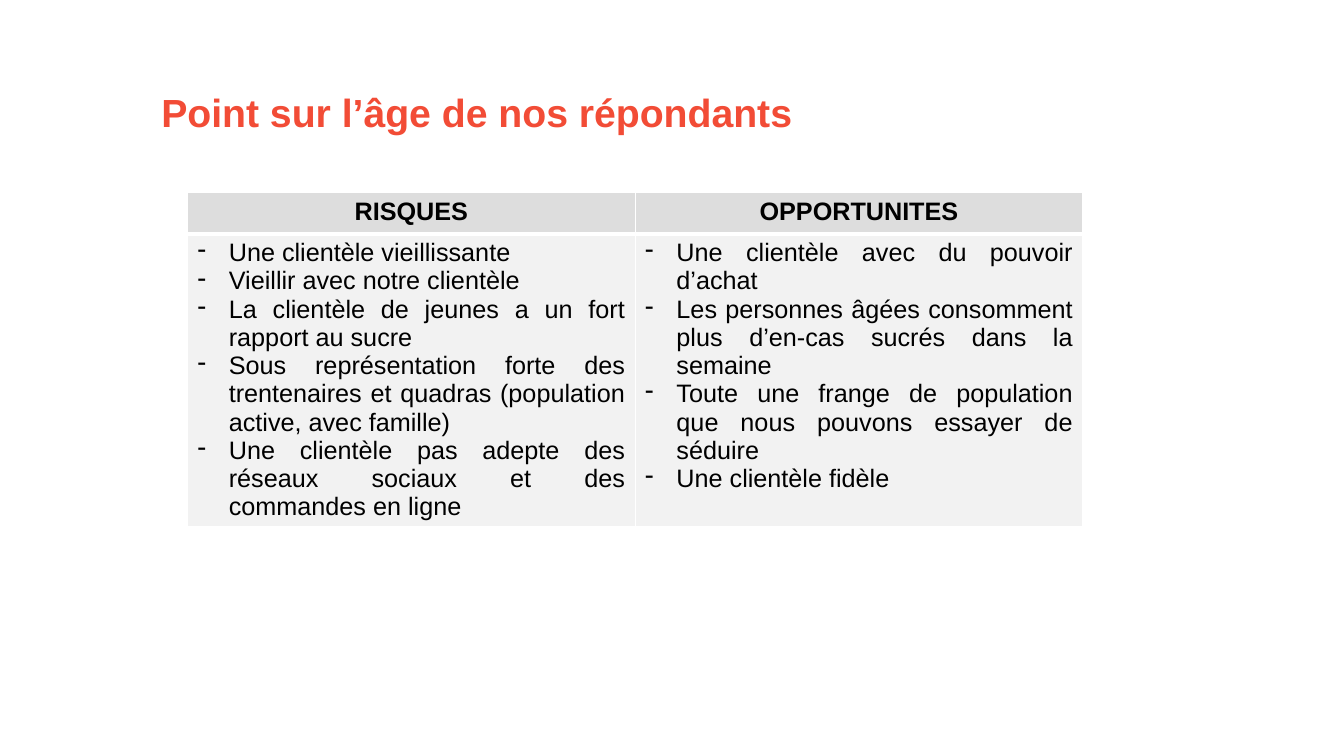
"""Build a slide with a two-column table of risks and opportunities."""
from lxml.etree import SubElement
from pptx import Presentation
from pptx.dml.color import RGBColor
from pptx.enum.text import MSO_ANCHOR, PP_ALIGN
from pptx.oxml import parse_xml
from pptx.oxml.ns import nsdecls, qn
from pptx.util import Inches, Pt

TITLE = "Point sur l’âge de nos répondants"
COLUMNS = {
    "RISQUES": [
        "Une clientèle vieillissante",
        "Vieillir avec notre clientèle",
        "La clientèle de jeunes a un fort rapport au sucre",
        "Sous représentation forte des trentenaires et quadras "
        "(population active, avec famille)",
        "Une clientèle pas adepte des réseaux sociaux et des commandes en ligne",
    ],
    "OPPORTUNITES": [
        "Une clientèle avec du pouvoir d’achat",
        "Les personnes âgées consomment plus d’en-cas sucrés dans la semaine",
        "Toute une frange de population que nous pouvons essayer de séduire",
        "Une clientèle fidèle",
    ],
}
ROW_HEIGHTS = (0.41, 2.89)
COL_WIDTH = 4.44
INDENT = Inches(0.31)


def rgb(value):
    return RGBColor.from_string(value)


def style(p, size, color, bold, align):
    p.alignment = align
    for r in p.runs:
        r.font.name = "Arial"
        r.font.size = Pt(size)
        r.font.bold = bold
        r.font.color.rgb = rgb(color)


def add_dash(p):
    pPr = p._p.get_or_add_pPr()
    pPr.set("marL", str(INDENT))
    pPr.set("indent", str(-INDENT))
    SubElement(pPr, qn("a:buChar")).set("char", "-")


def set_borders(cell, **widths):
    tcPr = cell._tc.get_or_add_tcPr()
    for i, (side, width) in enumerate(widths.items()):
        tcPr.insert(i, parse_xml(
            f'<a:ln{side} {nsdecls("a")} w="{Pt(width)}"><a:solidFill>'
            f'<a:srgbClr val="FFFFFF"/></a:solidFill></a:ln{side}>'))


def fill_cell(cell, lines, fill, is_header):
    cell.fill.solid()
    cell.fill.fore_color.rgb = rgb(fill)
    set_borders(cell, L=1, R=1, T=1 if is_header else 3, B=3 if is_header else 1)
    cell.text_frame.text = "\n".join(lines)
    for p in cell.text_frame.paragraphs:
        style(p, 18, "000000", is_header,
              PP_ALIGN.CENTER if is_header else PP_ALIGN.JUSTIFY)
        if not is_header:
            add_dash(p)


prs = Presentation()
prs.slide_width, prs.slide_height = Inches(13.33), Inches(7.5)
s = prs.slides.add_slide(prs.slide_layouts[5])

title = s.shapes.title
title.left, title.top = Inches(1.5), Inches(0.79)
title.width, title.height = Inches(10.23), Inches(1.12)
tf = title.text_frame
tf.text = TITLE
tf.vertical_anchor = MSO_ANCHOR.TOP
tf.margin_top = Inches(0.09)
style(tf.paragraphs[0], 28, "F24C36", True, PP_ALIGN.LEFT)

table = s.shapes.add_table(
    len(ROW_HEIGHTS), len(COLUMNS), Inches(1.86), Inches(1.91),
    Inches(COL_WIDTH * len(COLUMNS)), Inches(sum(ROW_HEIGHTS))).table
for row, height in zip(table.rows, ROW_HEIGHTS):
    row.height = Inches(height)
for c, (heading, points) in enumerate(COLUMNS.items()):
    table.columns[c].width = Inches(COL_WIDTH)
    fill_cell(table.cell(0, c), [heading], "DDDDDD", True)
    fill_cell(table.cell(1, c), points, "F2F2F2", False)

prs.save("out.pptx")
